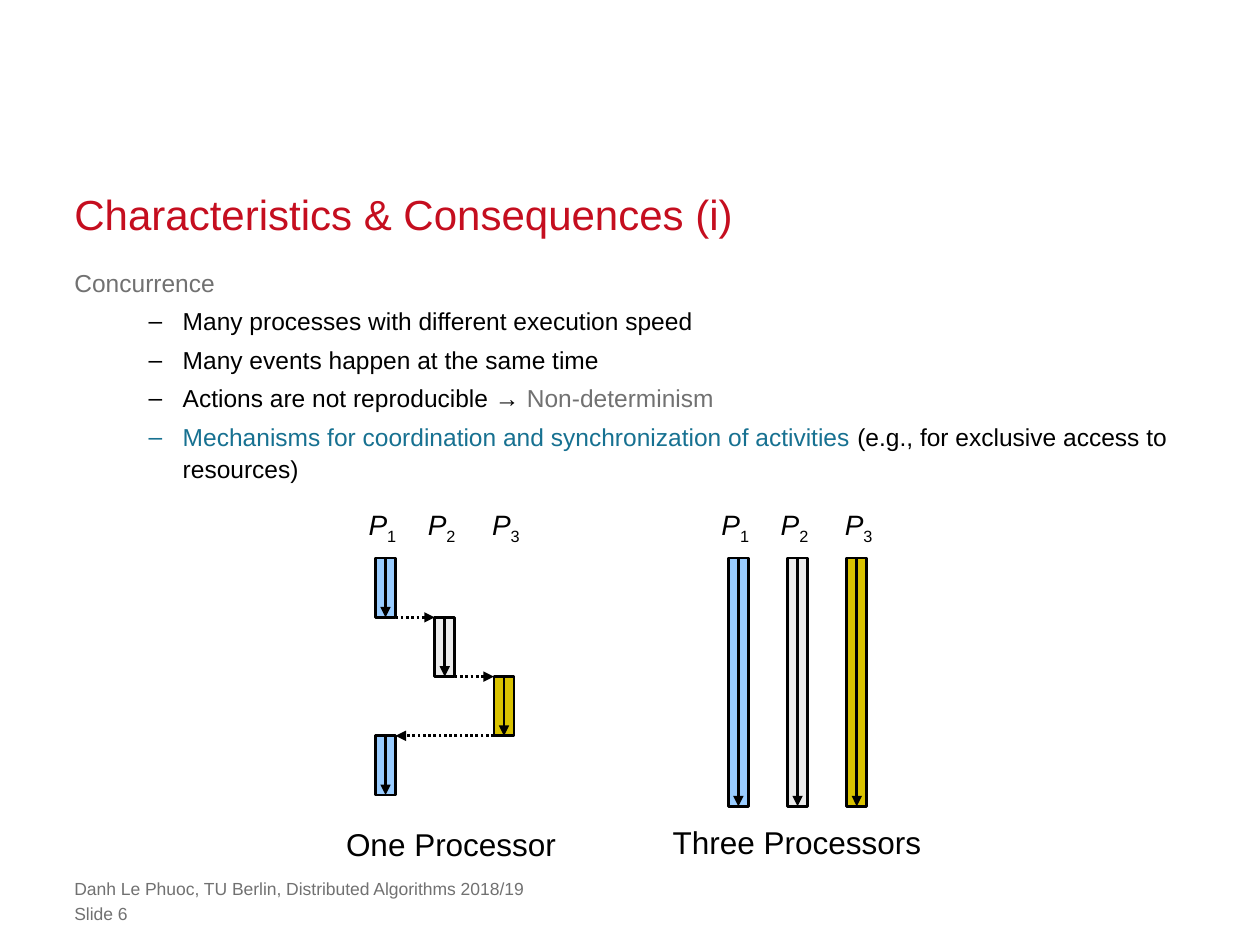
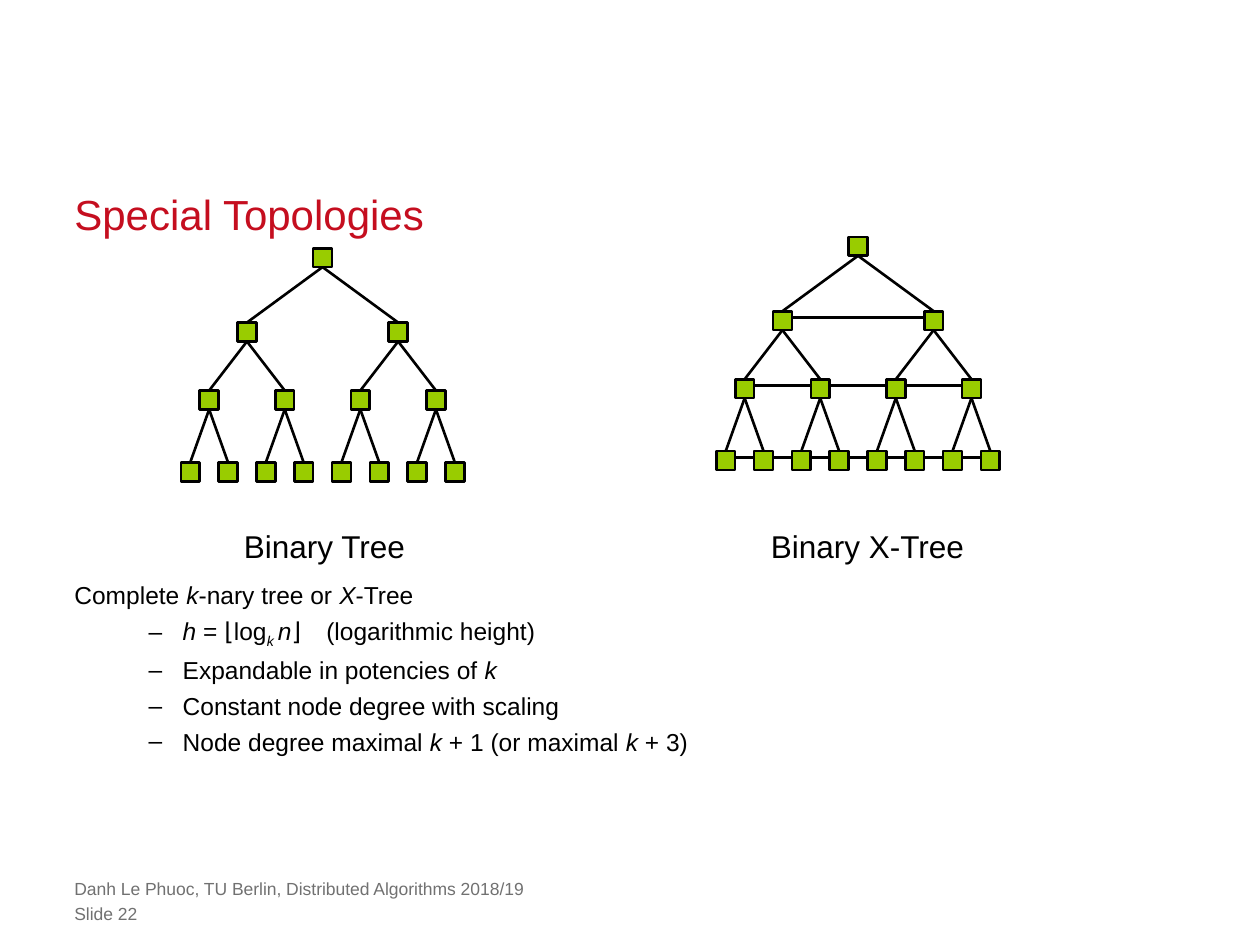
"""Builds two lecture slides on concurrency and tree topologies."""
import pptx
import pptx.dml.color
import pptx.enum.dml
import pptx.enum.shapes
import pptx.enum.text
import pptx.oxml
import pptx.oxml.ns
import pptx.util

Inches = pptx.util.Inches
Pt = pptx.util.Pt
PP_ALIGN = pptx.enum.text.PP_ALIGN
ANCHOR = pptx.enum.text.MSO_ANCHOR
AUTO_SIZE = pptx.enum.text.MSO_AUTO_SIZE

COLORS = {
    "title": "C50E1F", "text": "000000", "muted": "717171", "accent": "177191",
    "blue": "99CCFF", "grey": "EBEBEB", "yellow": "D9C200", "node": "99CC00",
}
FONT = "Arial"
LEFT, WIDTH = 0.59, 8.82
FOOTER = "Danh Le Phuoc, TU Berlin, Distributed Algorithms 2018/19"

LANE_COLORS = ["blue", "grey", "yellow"]
LANE_GAP, BAR_WIDTH, BAR_TOP, STEP = 0.47, 0.16, 4.43, 0.47
LABEL_OFFSETS = [0, 0.47, 0.98]
NODE, LEAF_GAP = 0.15, 0.3
LEVEL_TOPS = [0, 0.59, 1.13, 1.7]


def rgb(name):
    return pptx.dml.color.RGBColor.from_string(COLORS[name])


def sub(parent, tag, **attrs):
    el = pptx.oxml.parse_xml(f"<{tag} {pptx.oxml.ns.nsdecls('a')}/>")
    for key, value in attrs.items():
        el.set(key, value)
    parent.append(el)


class Deck:
    """Holds the shared style and the current slide."""

    def __init__(self):
        self.prs = pptx.Presentation()
        self.prs.slide_width, self.prs.slide_height = Inches(10), Inches(7.5)
        self.slide = None

    def new_slide(self, title, number):
        self.slide = self.prs.slides.add_slide(self.prs.slide_layouts[1])
        tf = self.frame(self.slide.shapes.title, LEFT, 1.48, WIDTH, 0.42)
        tf.vertical_anchor = ANCHOR.BOTTOM
        p = tf.paragraphs[0]
        p.line_spacing = Pt(30)
        self.add_runs(p, [(title,)], 24, "title")
        for top, text in [(6.97, FOOTER), (7.17, f"Slide {number}")]:
            sp = self.slide.shapes.add_textbox(0, 0, 0, 0)
            tf = self.frame(sp, LEFT, top, 7.24, 0.17)
            self.add_runs(tf.paragraphs[0], [(text,)], 10, "muted")

    def frame(self, sp, x, y, w, h):
        sp.left, sp.top, sp.width, sp.height = map(Inches, (x, y, w, h))
        tf = sp.text_frame
        tf.word_wrap = True
        tf.auto_size = AUTO_SIZE.NONE
        tf.margin_left = tf.margin_right = tf.margin_top = tf.margin_bottom = 0
        return tf

    def add_runs(self, p, runs, size, color="text", align=PP_ALIGN.LEFT):
        """Fills a paragraph from (text, style, colour) runs; i is italic, s subscript."""
        p.alignment = align
        p.font.name, p.font.size = FONT, Pt(size)
        p.font.color.rgb = rgb(color)
        for run in runs:
            text, style, tint = (*run, "", "")[:3]
            r = p.add_run()
            r.text = text
            if "i" in style:
                r.font.italic = True
            if "s" in style:
                r._r.get_or_add_rPr().set("baseline", "-25000")
            if tint:
                r.font.color.rgb = rgb(tint)

    def body(self, top, height, heading, items, heading_spacing, item_spacing,
             heading_color="text"):
        tf = self.frame(self.slide.placeholders[1], LEFT, top, WIDTH, height)
        for i, runs in enumerate([heading, *items]):
            p = tf.add_paragraph() if i else tf.paragraphs[0]
            pPr = p._p.get_or_add_pPr()
            margin, indent = (0.86, -0.27) if i else (0.38, -0.38)
            pPr.set("marL", str(Inches(margin)))
            pPr.set("indent", str(Inches(indent)))
            if i:
                p.level = 1
                sub(pPr, "a:buChar", char="–")
            else:
                sub(pPr, "a:buNone")
            p.line_spacing = item_spacing if i else heading_spacing
            p.space_before = Pt(3.6 if i else 0)
            self.add_runs(p, runs, 14, "text" if i else heading_color)

    def label(self, x, y, w, h, runs, size):
        sp = self.slide.shapes.add_textbox(*map(Inches, (x, y, w, h)))
        sp.text_frame.word_wrap = False
        self.add_runs(sp.text_frame.paragraphs[0], runs, size, align=PP_ALIGN.CENTER)

    def box(self, x, y, w, h, color):
        sp = self.slide.shapes.add_shape(
            pptx.enum.shapes.MSO_SHAPE.RECTANGLE, *map(Inches, (x, y, w, h)))
        sp.shadow.inherit = False
        sp.fill.solid()
        sp.fill.fore_color.rgb = rgb(color)
        sp.line.color.rgb = rgb("text")
        sp.line.width = Pt(1.5)

    def line(self, x1, y1, x2, y2, arrow=False, dotted=False):
        c = self.slide.shapes.add_connector(
            pptx.enum.shapes.MSO_CONNECTOR.STRAIGHT, *map(Inches, (x1, y1, x2, y2)))
        c.line.color.rgb = rgb("text")
        c.line.width = Pt(1.5)
        if dotted:
            c.line.dash_style = pptx.enum.dml.MSO_LINE.ROUND_DOT
        spPr = c._element.spPr
        if arrow:
            sub(spPr.find(pptx.oxml.ns.qn("a:ln")), "a:tailEnd", type="triangle")
        sub(spPr, "a:effectLst")

    def bar(self, x, y, h, color):
        self.box(x, y, BAR_WIDTH, h, color)
        center = x + BAR_WIDTH / 2
        self.line(center, y, center, y + h, arrow=True)

    def process_labels(self, x):
        for i, offset in enumerate(LABEL_OFFSETS, 1):
            self.label(x + offset, 3.98, 0.43, 0.37, [("P", "i"), (str(i), "s")], 16)

    def tree(self, first_leaf, top, linked=False):
        """Draws a four-level binary tree, with links along each level if asked."""
        levels = []
        for depth, offset in enumerate(LEVEL_TOPS):
            gap = LEAF_GAP * 2 ** (3 - depth)
            start = first_leaf + (gap - LEAF_GAP) / 2
            levels.append([(start + gap * i, top + offset) for i in range(2 ** depth)])
        for level in levels:
            for x, y in level:
                self.box(x - NODE / 2, y, NODE, NODE, "node")
        for parents, children in zip(levels, levels[1:]):
            for i, (x, y) in enumerate(children):
                px, py = parents[i // 2]
                self.line(px, py + NODE, x, y)
            if linked:
                for (x1, y), (x2, _) in zip(children, children[1:]):
                    self.line(x1 + NODE / 2, y + 0.05, x2 - NODE / 2, y + 0.05)


def concurrency(deck):
    deck.new_slide("Characteristics & Consequences (i)", 6)
    deck.body(2.1, 4.45, [("Concurrence",)], [
        [("Many processes with different execution speed",)],
        [("Many events happen at the same time",)],
        [("Actions are not reproducible → ",), ("Non-determinism", "", "muted")],
        [("Mechanisms for coordination and synchronization of activities ", "", "accent"),
         ("(e.g., for exclusive access to resources)",)],
    ], 1.1, 1.1, "muted")

    one, three = 2.98, 5.78
    turns = [0, 1, 2, 0]
    for step, lane in enumerate(turns):
        deck.bar(one + lane * LANE_GAP, BAR_TOP + step * STEP, STEP, LANE_COLORS[lane])
    for step, (a, b) in enumerate(zip(turns, turns[1:]), 1):
        x1, x2 = one + a * LANE_GAP, one + b * LANE_GAP
        if a < b:
            x1 += BAR_WIDTH
        else:
            x2 += BAR_WIDTH
        y = BAR_TOP + step * STEP
        deck.line(x1, y, x2, y, arrow=True, dotted=True)
    for lane, color in enumerate(LANE_COLORS):
        deck.bar(three + lane * LANE_GAP, BAR_TOP, 1.97, color)
    deck.process_labels(2.82)
    deck.process_labels(5.62)
    deck.label(2.64, 6.5, 1.88, 0.4, [("One Processor",)], 18)
    deck.label(5.23, 6.48, 2.19, 0.4, [("Three Processors",)], 18)


def topologies(deck):
    deck.new_slide("Special Topologies", 22)
    k = ("k", "i")
    deck.body(4.53, 2.02, [("Complete ",), k, ("-nary tree or ",), ("X", "i"), ("-Tree",)], [
        [("h", "i"), (" = ⌊log",), ("k ", "is"), ("n", "i"), ("⌋\t(logarithmic height)",)],
        [("Expandable in potencies of ",), k],
        [("Constant node degree with scaling",)],
        [("Node degree maximal ",), k, (" + 1 (or maximal ",), k, (" + 3)",)],
    ], Pt(22), 1.0)
    deck.tree(1.51, 1.97)
    deck.tree(5.76, 1.88, linked=True)
    deck.label(1.83, 4.13, 1.49, 0.4, [("Binary Tree",)], 18)
    deck.label(6.01, 4.13, 1.75, 0.4, [("Binary X-Tree",)], 18)


def main():
    deck = Deck()
    concurrency(deck)
    topologies(deck)
    deck.prs.save("out.pptx")


if __name__ == "__main__":
    main()
